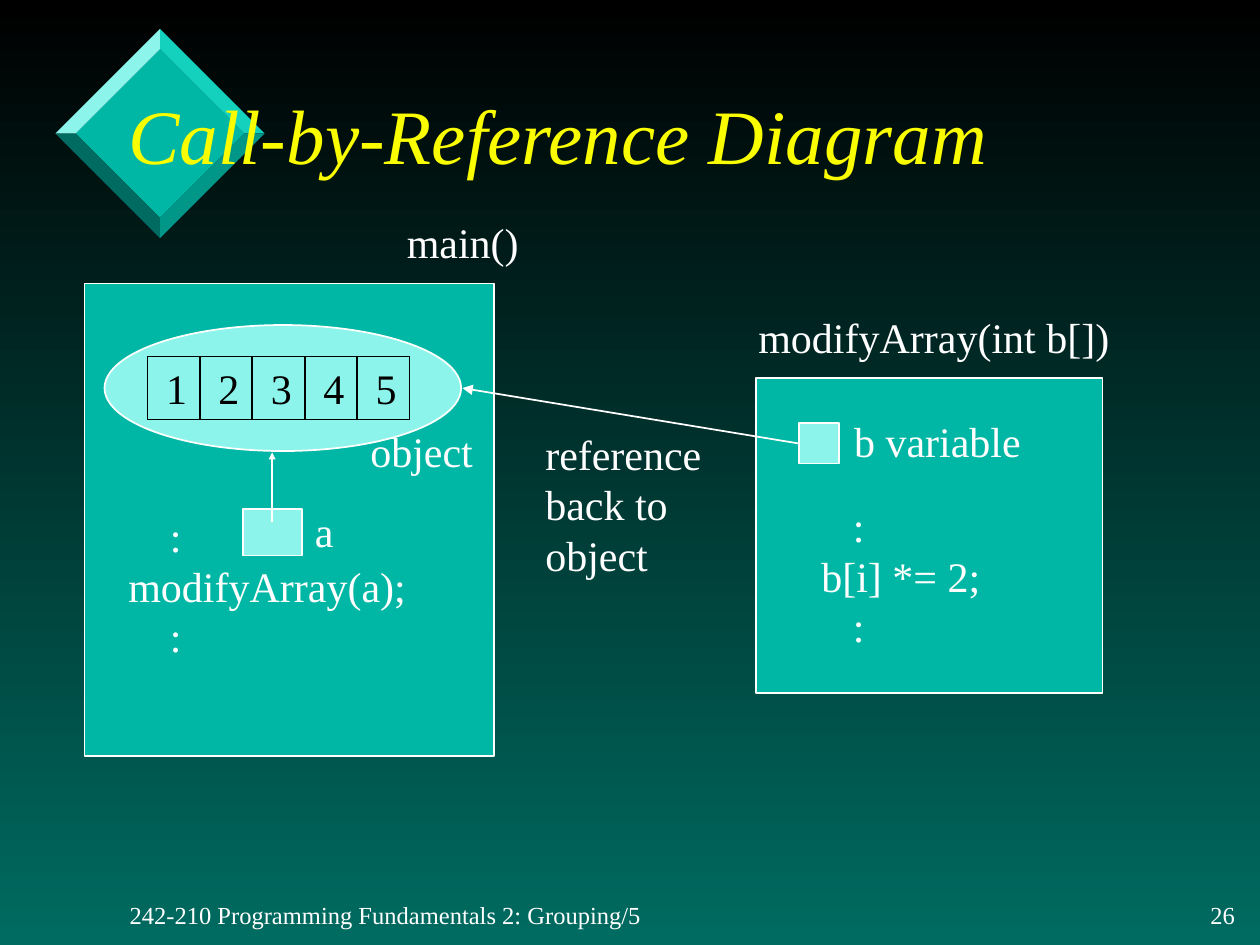
from dataclasses import dataclass

from lxml.etree import SubElement
from pptx import Presentation
from pptx.dml.color import RGBColor
from pptx.enum.shapes import MSO_CONNECTOR, MSO_SHAPE
from pptx.enum.text import MSO_ANCHOR, PP_ALIGN
from pptx.oxml.ns import qn
from pptx.util import Inches, Pt

COLORS = {
    "black": "000000", "white": "FFFFFF", "yellow": "FAFD00",
    "teal": "00B7A5", "bright": "14D1BE", "pale": "8CF4EA",
    "mid": "009688", "dark": "006B61",
}
FONT = "Times New Roman"
CELL_X, CELL_Y, CELL_W, CELL_H = 1.17, 2.83, 0.416, 0.5


@dataclass
class Facet:
    color: str
    points: list[tuple[float, float]]


@dataclass
class Box:
    x: float
    y: float
    w: float
    h: float
    fill: str | None = "teal"
    line: str = "white"
    kind: MSO_SHAPE = MSO_SHAPE.RECTANGLE


@dataclass
class Label:
    x: float
    y: float
    w: float
    h: float
    lines: list[str]
    color: str = "white"
    size: int = 24
    align: PP_ALIGN = PP_ALIGN.LEFT
    colon_indent: float = 0


def rgb(name: str) -> RGBColor:
    return RGBColor.from_string(COLORS[name])


def style_font(p, size: int, color: str) -> None:
    p.font.name, p.font.size = FONT, Pt(size)
    p.font.color.rgb = rgb(color)


def add_facet(shapes, facet: Facet) -> None:
    start, *rest = [(Inches(x), Inches(y)) for x, y in facet.points]
    builder = shapes.build_freeform(*start)
    builder.add_line_segments(rest, close=True)
    sp = builder.convert_to_shape()
    sp.shadow.inherit = False
    sp.fill.solid()
    sp.fill.fore_color.rgb = rgb(facet.color)
    sp.line.fill.background()


def add_box(shapes, box: Box):
    sp = shapes.add_shape(box.kind, Inches(box.x), Inches(box.y), Inches(box.w), Inches(box.h))
    sp.shadow.inherit = False
    if box.fill:
        sp.fill.solid()
        sp.fill.fore_color.rgb = rgb(box.fill)
    else:
        sp.fill.background()
    sp.line.color.rgb = rgb(box.line)
    sp.line.width = Pt(1)
    return sp


def add_label(shapes, label: Label) -> None:
    tf = shapes.add_textbox(Inches(label.x), Inches(label.y), Inches(label.w), Inches(label.h)).text_frame
    tf.word_wrap = False
    for i, text in enumerate(label.lines):
        p = tf.paragraphs[0] if i == 0 else tf.add_paragraph()
        p.text = text
        p.alignment = label.align
        p.line_spacing = Pt(label.size * 1.2)
        style_font(p, label.size, label.color)
        if text == ":":
            p._p.get_or_add_pPr().set("marL", str(Inches(label.colon_indent)))


def add_line(shapes, x1: float, y1: float, x2: float, y2: float, color: str, head: str = ""):
    """Draw a line; head is the arrowhead size ("sm", "med") at its end."""
    line = shapes.add_connector(MSO_CONNECTOR.STRAIGHT, Inches(x1), Inches(y1), Inches(x2), Inches(y2))
    line.line.color.rgb = rgb(color)
    line.line.width = Pt(1)
    if head:
        SubElement(line.line._get_or_add_ln(), qn("a:tailEnd"), type="triangle", w=head, len=head)
    SubElement(line._element.spPr, qn("a:effectLst"))
    return line


def add_diamond(shapes) -> None:
    cx, cy, inner, outer = 1.27, 1.06, 0.67, 0.83

    def corners(r: float) -> list[tuple[float, float]]:
        return [(cx, cy - r), (cx + r, cy), (cx, cy + r), (cx - r, cy)]

    inn, out = corners(inner), corners(outer)
    add_facet(shapes, Facet("teal", inn))
    for i, color in enumerate(["bright", "mid", "dark", "pale"]):
        j = (i + 1) % 4
        add_facet(shapes, Facet(color, [inn[i], out[i], out[j], inn[j]]))


def add_array(shapes, values: list[int]) -> None:
    add_box(shapes, Box(CELL_X, CELL_Y, CELL_W * len(values), CELL_H, None, "black"))
    for i, value in enumerate(values):
        x = CELL_X + i * CELL_W
        if i:
            add_line(shapes, x, CELL_Y, x, CELL_Y + CELL_H, "black")
        add_label(shapes, Label(x + 0.05, CELL_Y, 0.37, CELL_H, [str(value)], "black"))


def main() -> None:
    prs = Presentation()
    prs.slide_width, prs.slide_height = Inches(10), Inches(7.5)
    s = prs.slides.add_slide(prs.slide_layouts[5])
    shapes = s.shapes

    bg = s.background.fill
    bg.gradient()
    bg.gradient_angle = 270
    for stop, color, pos in zip(bg.gradient_stops, ["black", "dark"], [0, 1]):
        stop.color.rgb = rgb(color)
        stop.position = pos

    add_diamond(shapes)
    add_box(shapes, Box(0.67, 2.25, 3.25, 3.75))
    add_box(shapes, Box(0.83, 2.58, 2.83, 1, "pale", kind=MSO_SHAPE.OVAL))
    add_box(shapes, Box(6, 3, 2.75, 2.5))

    title = shapes.title
    shapes._spTree.append(title._element)
    title.left, title.top, title.width, title.height = Inches(0.92), Inches(0.46), Inches(8.51), Inches(1.21)
    tf = title.text_frame
    tf.text = "Call-by-Reference Diagram"
    tf.vertical_anchor = MSO_ANCHOR.MIDDLE
    p = tf.paragraphs[0]
    p.alignment = PP_ALIGN.LEFT
    style_font(p, 44, "yellow")
    p.font.italic = True

    add_array(shapes, [1, 2, 3, 4, 5])
    b_box = add_box(shapes, Box(6.34, 3.36, 0.32, 0.32, "pale"))
    add_box(shapes, Box(1.93, 4.04, 0.47, 0.37, "pale"))
    reference = add_line(shapes, 6.34, 3.52, 3.67, 3.08, "white", "med")
    reference.begin_connect(b_box, 1)
    add_line(shapes, 2.16, 4.14, 2.16, 3.59, "white", "sm")

    labels = [
        Label(2.84, 3.33, 1.02, 0.5, ["object"]),
        Label(3.13, 1.67, 1.09, 0.5, ["main()"]),
        Label(0.92, 4, 2.4, 1.3, [":", "modifyArray(a);", ":"], colon_indent=0.33),
        Label(5.92, 2.42, 2.99, 0.5, ["modifyArray(int b[])"]),
        Label(6.68, 3.25, 1.61, 0.5, ["b variable"]),
        Label(4.23, 3.35, 1.44, 1.3, ["reference", "back to", "object"]),
        Label(6.42, 3.92, 1.46, 1.3, [":", "b[i] *= 2;", ":"], colon_indent=0.25),
        Label(2.4, 3.96, 0.35, 0.5, ["a"]),
        Label(0.93, 7.09, 4.29, 0.33, ["242-210 Programming Fundamentals 2: Grouping/5"], size=14),
        Label(9.48, 7.09, 0.42, 0.33, ["26"], size=14, align=PP_ALIGN.RIGHT),
    ]
    for label in labels:
        add_label(shapes, label)

    prs.save("out.pptx")


if __name__ == "__main__":
    main()
